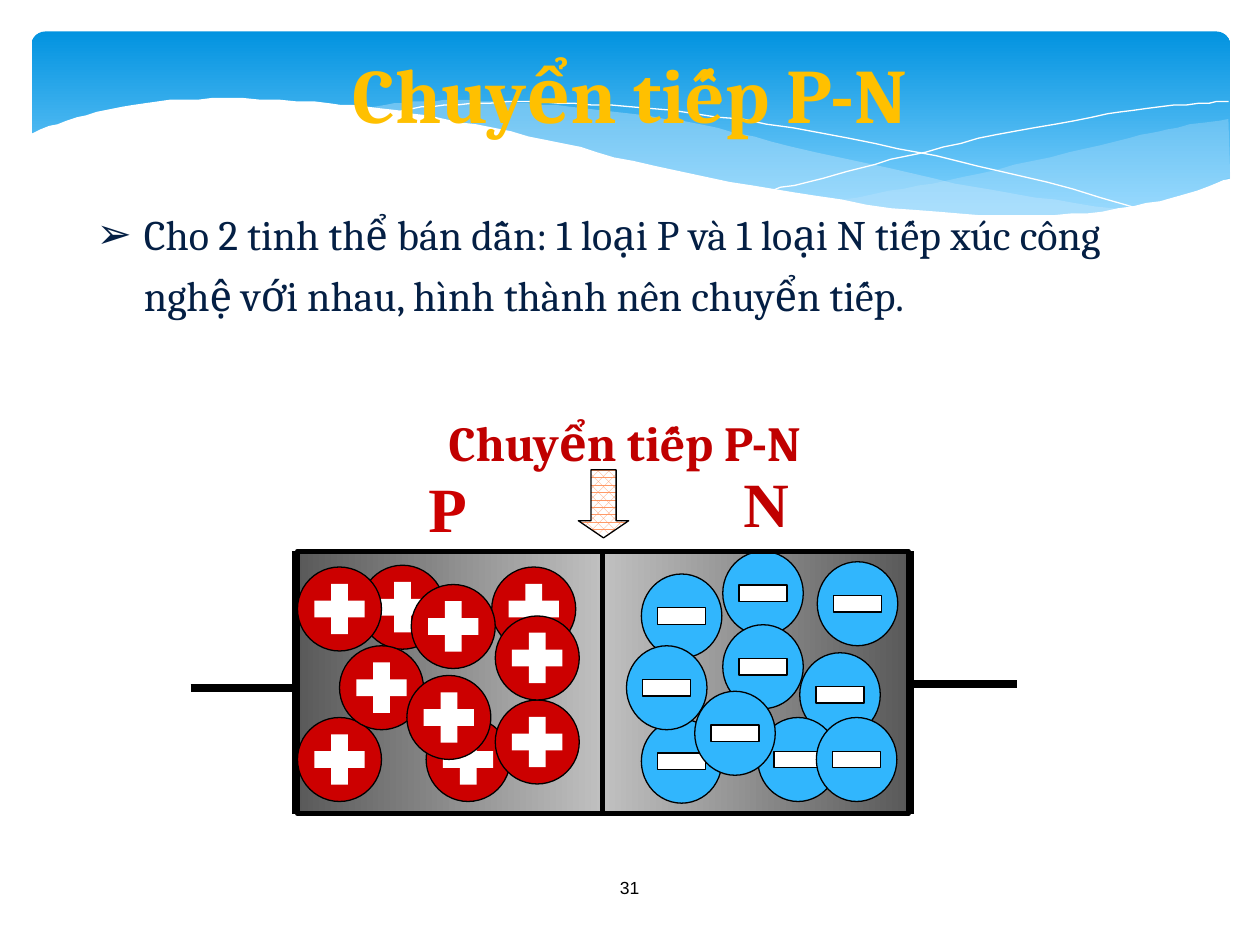
from typing import NamedTuple

from lxml import etree
from pptx import Presentation
from pptx.dml.color import RGBColor
from pptx.enum.dml import MSO_PATTERN
from pptx.enum.shapes import MSO_CONNECTOR, MSO_SHAPE
from pptx.enum.text import MSO_ANCHOR, MSO_AUTO_SIZE, PP_ALIGN
from pptx.oxml.ns import qn
from pptx.util import Pt

OVAL, RECT = MSO_SHAPE.OVAL, MSO_SHAPE.RECTANGLE
ROUND_RECT, DOWN_ARROW = MSO_SHAPE.ROUNDED_RECTANGLE, MSO_SHAPE.DOWN_ARROW
STRAIGHT = MSO_CONNECTOR.STRAIGHT
MIDDLE, TOP, CENTER = MSO_ANCHOR.MIDDLE, MSO_ANCHOR.TOP, PP_ALIGN.CENTER

BLACK = RGBColor(0x00, 0x00, 0x00)
WHITE = RGBColor(0xFF, 0xFF, 0xFF)
GOLD = RGBColor(0xFF, 0xC0, 0x00)
NAVY = RGBColor(0x04, 0x1F, 0x44)
DARK_RED = RGBColor(0xC0, 0x00, 0x00)
RED = RGBColor(0xCC, 0x00, 0x00)
BLUE = RGBColor(0x31, 0xB6, 0xFD)
ORANGE = RGBColor(0xFF, 0x99, 0x66)
PALE_BLUE = RGBColor(0xC6, 0xE7, 0xFC)
SKY_TOP = RGBColor(0x02, 0x93, 0xE0)
SKY_BOTTOM = RGBColor(0x83, 0xD3, 0xFE)
GRAY_DARK = RGBColor(0x59, 0x59, 0x59)
GRAY_LIGHT = RGBColor(0xC0, 0xC0, 0xC0)

Knots = list[tuple[float, float]]


class Box(NamedTuple):
    left: float
    top: float
    width: float
    height: float


class TextStyle(NamedTuple):
    font: str
    size: float
    color: RGBColor
    bold: bool = False


class Carrier(NamedTuple):
    """A charged ball; the sign is a bar, crossed by a second one when positive."""
    width: float
    height: float
    color: RGBColor
    bar_width: float
    bar_height: float
    positive: bool


HOLE = Carrier(48, 48, RED, 28.8, 9.6, True)
ELECTRON = Carrier(46, 48, BLUE, 27.4, 9.4, False)
HOLES = [(206, 323), (170, 324), (281, 324), (170, 410), (194, 369),
         (243.5, 410), (235, 334), (283, 400), (232.5, 386), (283, 352)]
ELECTRONS_BEHIND = [(457, 373), (413, 315), (433, 410), (413, 357),
                    (366.5, 328), (366.5, 411), (467, 321), (466.5, 410)]
ELECTRONS_FRONT = [(397, 395), (358, 369)]
LEADS_AND_ENDS = [(109, 393, 170.5, 393), (581, 391, 520, 391),
                  (169, 315, 169, 465), (520, 315, 520, 465)]

RIGHT_TOP = [(702, 67.7), (673, 72.7), (652, 77), (620, 85), (580, 94.3),
             (542, 103), (508, 109.4), (476, 115)]
RIGHT_BOTTOM = [(476, 115), (508, 118.8), (545, 122.4), (578, 123.8),
                (615, 122.4), (646, 118.8), (673, 112.3), (693, 105.8), (703, 101.5)]
MIDDLE_TOP = [(643, 120), (603, 114.5), (558, 107), (508, 96.5), (453, 83.5),
              (410, 73.4), (370, 66.2), (335, 61.9), (302, 59), (274, 57.6),
              (248, 57.6), (225, 59), (206, 61.9)]
MIDDLE_BOTTOM = [(206, 61.9), (233, 64.8), (261, 69.8), (291, 76.3), (323, 83.5),
                 (382, 97.2), (433, 108), (479, 115.9), (520, 121), (557, 123.8),
                 (589, 124.6), (617, 123), (643, 120)]
FALLING_LINE = [(222, 65), (236, 62), (261, 59.8), (300, 58.3), (338, 59.8),
                (384, 63.4), (438, 70.6), (500, 82), (547, 92), (598, 104.4), (653, 119.5)]
RISING_LINE = [(441, 108.7), (470, 101.5), (500, 93.6), (539, 84.2), (580, 74.9),
               (624, 67), (655, 61.9), (685, 59), (702, 57.6)]
WHITE_WAVE = [(703.5, 101.5), (677, 111), (647, 118), (612, 122.4), (571, 123.1),
              (523, 120.2), (467, 112.3), (417, 103.7), (362, 92.2), (322, 82.1),
              (282, 73.4), (245, 66.2), (210, 61.2), (180, 58.3), (139, 56.2),
              (105, 56.9), (76, 59.8), (55, 64.1), (33, 70.6), (16.5, 77)]


def smooth(knots: Knots, steps: int = 4) -> Knots:
    """Catmull-Rom curve through the knots."""
    padded = [knots[0], *knots, knots[-1]]
    curve = [knots[0]]
    for a, b, c, d in zip(padded, padded[1:], padded[2:], padded[3:]):
        for step in range(1, steps + 1):
            t = step / steps
            curve.append(tuple(
                q + t / 2 * (r - p + t * (2*p - 5*q + 4*r - s + t * (3*q - p - 3*r + s)))
                for p, q, r, s in zip(a, b, c, d)))
    return curve


def paint(shape, fill=None, line=None, weight: float = 0.75) -> None:
    shape.shadow.inherit = False
    if fill is None:
        shape.fill.background()
    else:
        shape.fill.solid()
        shape.fill.fore_color.rgb = fill
    if line is None:
        shape.line.fill.background()
    else:
        shape.line.color.rgb = line
        shape.line.width = Pt(weight)


def add_shape(shapes, kind, box: Box, fill=None, line=None, weight: float = 0.75):
    shape = shapes.add_shape(kind, *map(Pt, box))
    paint(shape, fill, line, weight)
    return shape


def set_gradient(shape, stops: list[tuple[int, RGBColor]], angle: int) -> None:
    """Linear gradient; stops in percent, angle clockwise in degrees."""
    shape.fill.gradient()
    gradient = shape.element.spPr.find(qn("a:gradFill"))
    stop_list = gradient.find(qn("a:gsLst"))
    for old_stop in list(stop_list):
        stop_list.remove(old_stop)
    for percent, color in stops:
        stop = etree.SubElement(stop_list, qn("a:gs"), pos=str(percent * 1000))
        etree.SubElement(stop, qn("a:srgbClr"), val=str(color))
    shape.fill.gradient_angle = -angle % 360


def add_wave(shapes, points: Knots, fill=None, line=None, opacity: int = 100) -> None:
    builder = shapes.build_freeform(*points[0], scale=float(Pt(1)))
    builder.add_line_segments(points[1:], close=fill is not None)
    wave = builder.convert_to_shape()
    paint(wave, fill, line, 0)
    if opacity < 100:
        color = wave.element.spPr.find(qn("a:solidFill"))[0]
        etree.SubElement(color, qn("a:alpha"), val=str(opacity * 1000))


def add_line(shapes, ends: tuple[float, ...]) -> None:
    line = shapes.add_connector(STRAIGHT, *map(Pt, ends))
    line.line.color.rgb = BLACK
    line.line.width = Pt(4.5)
    etree.SubElement(line.element.spPr, qn("a:effectLst"))


def add_carrier(shapes, carrier: Carrier, left: float, top: float) -> None:
    add_shape(shapes, OVAL, Box(left, top, carrier.width, carrier.height), carrier.color, BLACK)
    bar = Box(left + (carrier.width - carrier.bar_width) / 2,
              top + (carrier.height - carrier.bar_height) / 2,
              carrier.bar_width, carrier.bar_height)
    for rotation in ((0, 90) if carrier.positive else (0,)):
        sign = add_shape(shapes, RECT, bar, WHITE, None if carrier.positive else BLACK)
        sign.rotation = rotation


def write(holder, text: str, style: TextStyle, anchor=MIDDLE, align=CENTER, wrap=True):
    frame = holder.text_frame
    frame.text = text
    frame.word_wrap = wrap
    frame.auto_size = MSO_AUTO_SIZE.NONE
    frame.vertical_anchor = anchor
    paragraph = frame.paragraphs[0]
    paragraph.alignment = align
    paragraph.space_before = Pt(0)
    font = paragraph.font
    font.name, font.size, font.bold = style.font, Pt(style.size), style.bold
    font.color.rgb = style.color
    return paragraph


def add_label(shapes, box: Box, text: str, style: TextStyle) -> None:
    write(shapes.add_textbox(*map(Pt, box)), text, style, wrap=False)


def place_in_front(holder, box: Box) -> None:
    holder.left, holder.top, holder.width, holder.height = map(Pt, box)
    holder.element.getparent().append(holder.element)


def add_backdrop(shapes) -> None:
    sky = add_shape(shapes, ROUND_RECT, Box(18, 18, 685, 112.3))
    sky.adjustments[0] = 0.07
    set_gradient(sky, [(0, SKY_TOP), (90, SKY_BOTTOM)], 90)
    add_wave(shapes, smooth(RIGHT_TOP) + smooth(RIGHT_BOTTOM), PALE_BLUE, opacity=29)
    add_wave(shapes, smooth(MIDDLE_TOP) + smooth(MIDDLE_BOTTOM), PALE_BLUE, opacity=40)
    for knots in (FALLING_LINE, RISING_LINE):
        add_wave(shapes, smooth(knots), line=WHITE)
    add_wave(shapes, smooth(WHITE_WAVE) + [(16.5, 161), (703.5, 161)], WHITE)


def add_headings(shapes, title, body) -> None:
    place_in_front(title, Box(36, 21.6, 648, 62.6))
    write(title, "Chuyển tiếp P-N", TextStyle("Cambria", 44, GOLD, True))
    place_in_front(body, Box(48, 110, 624, 77))
    paragraph = write(body, "Cho 2 tinh thể bán dẫn: 1 loại P và 1 loại N tiếp xúc công "
                      "nghệ với nhau, hình thành nên chuyển tiếp.",
                      TextStyle("Cambria", 24, NAVY), TOP, PP_ALIGN.LEFT)
    paragraph.line_spacing = 1.2
    properties = paragraph._p.get_or_add_pPr()
    properties.set("marL", str(Pt(27)))
    properties.set("indent", str(-Pt(27)))
    bullet = etree.Element(qn("a:buChar"), char="➢")
    properties.find(qn("a:defRPr")).addprevious(bullet)
    add_label(shapes, Box(314, 492.5, 91.5, 29), "31", TextStyle("Arial", 10, BLACK))


def add_junction(shapes) -> None:
    arrow = add_shape(shapes, DOWN_ARROW, Box(330.5, 268.5, 28.8, 38.9), WHITE, BLACK)
    arrow.adjustments[1] = 0.34
    arrow.fill.patterned()
    arrow.fill.pattern = MSO_PATTERN.PERCENT_60
    arrow.fill.fore_color.rgb = ORANGE
    arrow.fill.back_color.rgb = WHITE
    add_label(shapes, Box(240.5, 232, 233, 41), "Chuyển tiếp P-N",
              TextStyle("Cambria", 28, DARK_RED, True))
    add_label(shapes, Box(237.5, 265, 36.5, 50), "P", TextStyle("Times New Roman", 36, RED, True))
    add_label(shapes, Box(417.5, 262, 40.5, 50), "N",
              TextStyle("Times New Roman", 36, DARK_RED, True))

    crystal = add_shape(shapes, RECT, Box(169, 315, 351, 150))
    set_gradient(crystal, [(0, GRAY_DARK), (50, GRAY_LIGHT), (100, GRAY_DARK)], 0)
    for position in ELECTRONS_BEHIND:
        add_carrier(shapes, ELECTRON, *position)
    for left in (170, 344.5):
        add_shape(shapes, RECT, Box(left, 315, 174.5, 150), line=BLACK, weight=3)
    for ends in LEADS_AND_ENDS:
        add_line(shapes, ends)
    for carrier, positions in ((ELECTRON, ELECTRONS_FRONT), (HOLE, HOLES)):
        for position in positions:
            add_carrier(shapes, carrier, *position)


def main() -> None:
    deck = Presentation()
    deck.slide_width, deck.slide_height = Pt(720), Pt(540)
    slide = deck.slides.add_slide(deck.slide_layouts[1])
    add_backdrop(slide.shapes)
    add_headings(slide.shapes, slide.shapes.title, slide.placeholders[1])
    add_junction(slide.shapes)
    deck.save("out.pptx")


if __name__ == "__main__":
    main()
